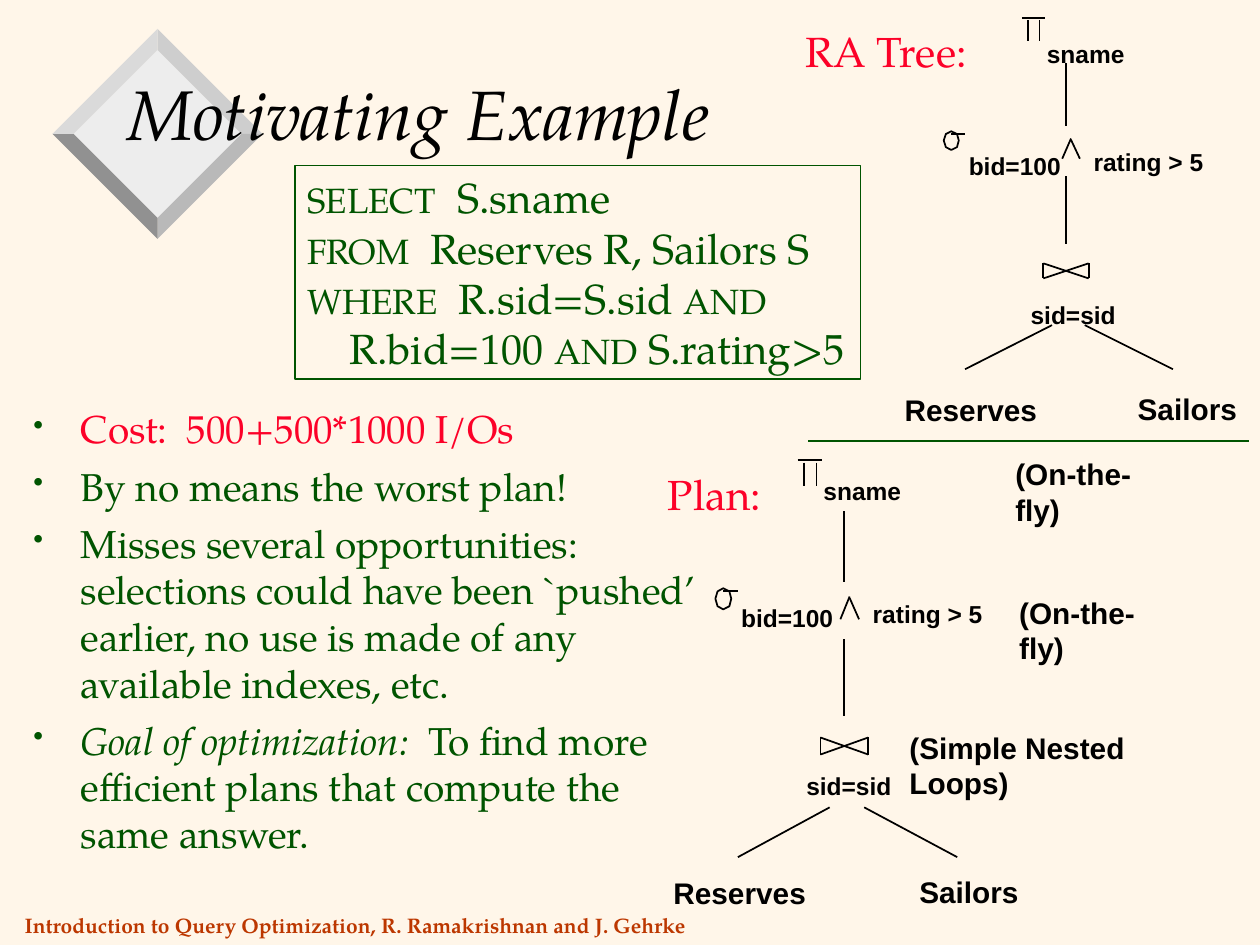
from dataclasses import dataclass

from lxml.etree import SubElement
from pptx import Presentation
from pptx.dml.color import RGBColor
from pptx.enum.shapes import MSO_CONNECTOR, MSO_SHAPE
from pptx.enum.text import MSO_ANCHOR as Anchor
from pptx.oxml.ns import qn
from pptx.util import Pt

COLORS = {
    "background": "FFF6E9", "ink": "000000", "green": "005400", "red": "FC0128",
    "footer": "BC3700", "face": "EDEDED", "upper right": "CECECE",
    "upper left": "DADADA", "lower right": "B9B9B9", "lower left": "919191",
}
SERIF, SANS = "TeX Gyre Pagella", "Arial"
FORMATS = {
    "title": dict(name=SERIF, size=Pt(40), italic=True, color="ink"),
    "footer": dict(name=SERIF, size=Pt(12), bold=True, color="footer"),
    "point": dict(name=SERIF, size=Pt(22.2), color="green"),
    "cost": dict(name=SERIF, size=Pt(22.2), color="red"),
    "goal": dict(name=SERIF, size=Pt(22.2), italic=True, color="green"),
    "keyword": dict(name=SERIF, size=Pt(20), color="green"),
    "query": dict(name=SERIF, size=Pt(24), color="green"),
    "heading": dict(name=SERIF, size=Pt(24), color="red"),
    "relation": dict(name=SANS, size=Pt(17), bold=True, color="ink"),
    "condition": dict(name=SANS, size=Pt(14), bold=True, color="ink"),
}
QUERY = [
    [("SELECT", "keyword"), ("  S.sname", "query")],
    [("FROM", "keyword"), ("  Reserves R, Sailors S", "query")],
    [("WHERE", "keyword"), ("  R.sid=S.sid ", "query"), ("AND", "keyword"), (" ", "query")],
    [("    R.bid=100 ", "query"), ("AND", "keyword"), (" S.rating>5", "query")],
]
POINTS = [
    [("Cost:  500+500*1000 I/Os", "cost")],
    [("By no means the worst plan!", "point")],
    [("Misses several opportunities: selections could have been `pushed’ earlier, "
      "no use is made of any available indexes, etc.", "point")],
    [("Goal of optimization:  ", "goal"),
     ("To find more efficient plans that compute the same answer.", "point")],
]

# Operator tree, measured from the left of sigma and the top of pi
SIGMA = [(8.6, 70.2), (7.6, 66.5), (4.3, 64.9), (1.2, 66.5),
         (0, 70.2), (1.2, 74), (4.3, 75.6), (7.6, 74)]
TREE_LINES = [
    (4.3, 66.4, 12.2, 66.4),                                    # sigma tail
    (48.2, 1.4, 48.2, 13.2), (54.7, 1.4, 54.7, 13.2), (44.6, 0, 57.6, 0),  # pi
    (56.9, 140.4, 56.9, 149), (82.8, 140.4, 82.8, 149),         # join sides
    (56.9, 140.4, 82.8, 149), (56.9, 149, 82.8, 140.4),         # join cross
    (12.2, 200.9, 61.9, 175.7), (80.6, 175.7, 131, 200.9),      # branches
    (69.8, 90.7, 69.8, 129.6), (69.8, 25.9, 69.8, 61.9),        # stems
    (67.7, 80.6, 72.7, 69.1), (72.7, 69.8, 77.8, 80.6),         # logical and
]
TREE_LABELS = [
    ("Reserves", -29.5, 210.2, 90, "relation"),
    ("Sailors", 103.7, 209.5, 71.3, "relation"),
    ("sid=sid", 42.5, 157.7, 63.4, "condition"),
    ("bid=100", 7.2, 72.7, 70.6, "condition"),
    ("rating > 5", 78.5, 70.6, 77, "condition"),
    ("sname", 51.8, 8.6, 59, "condition"),
]
PLAN_NOTES = [
    ("(Simple Nested Loops)", 512.6, 413.3, 198.7),
    ("(On-the-fly)", 575.3, 336.2, 105.8),
    ("(On-the-fly)", 573.1, 257, 105.8),
]


@dataclass
class Frame:
    """Maps tree coordinates to the slide."""
    left: float
    top: float
    stretch_x: float = 1
    stretch_y: float = 1
    label_lift: float = 0

    def place(self, x, y):
        return self.left + x * self.stretch_x, self.top + y * self.stretch_y


def rgb(color):
    return RGBColor.from_string(COLORS[color])


def write(holder, paragraphs, wrap=False, anchor=Anchor.TOP):
    """Fill a shape with paragraphs, each a list of (text, format) runs."""
    frame = holder.text_frame
    frame.word_wrap, frame.vertical_anchor = wrap, anchor
    for number, runs in enumerate(paragraphs):
        paragraph = frame.add_paragraph() if number else frame.paragraphs[0]
        for text, style in runs:
            run = paragraph.add_run()
            run.text = text
            for attribute, value in FORMATS[style].items():
                if attribute == "color":
                    run.font.color.rgb = rgb(value)
                else:
                    setattr(run.font, attribute, value)
    return frame


def add_text(shapes, box, paragraphs, **layout):
    return write(shapes.add_textbox(*map(Pt, box)), paragraphs, **layout)


def add_label(shapes, text, x, y, width, style):
    height = FORMATS[style]["size"].pt * 1.2 + 7.2
    add_text(shapes, (x, y, width, height), [[(text, style)]])


def add_line(shapes, start, end, color="ink"):
    line = shapes.add_connector(MSO_CONNECTOR.STRAIGHT, *map(Pt, (*start, *end)))
    line.line.color.rgb = rgb(color)
    line.line.width = Pt(1)
    SubElement(line._element.spPr, qn("a:effectLst"))


def add_polygon(shapes, corners, fill=None):
    """Draw a closed outline, filled without a line or stroked without a fill."""
    first, *rest = [tuple(map(Pt, corner)) for corner in corners]
    builder = shapes.build_freeform(*first)
    builder.add_line_segments(rest, close=True)
    polygon = builder.convert_to_shape()
    polygon.shadow.inherit = False
    if fill:
        polygon.fill.solid()
        polygon.fill.fore_color.rgb = rgb(fill)
        polygon.line.fill.background()
    else:
        polygon.fill.background()
        polygon.line.color.rgb = rgb("ink")
        polygon.line.width = Pt(1)


def add_diamond(shapes, x, y, inner, outer):
    """Bevelled diamond: a face and four rims."""
    def corners(radius):
        return [(x, y - radius), (x + radius, y), (x, y + radius), (x - radius, y)]

    face, edge = corners(inner), corners(outer)
    add_polygon(shapes, face, "face")
    for side, rim in enumerate(("upper right", "lower right", "lower left", "upper left")):
        after = (side + 1) % 4
        add_polygon(shapes, [face[side], edge[side], edge[after], face[after]], rim)


def add_query(shapes):
    box = shapes.add_shape(MSO_SHAPE.RECTANGLE, *map(Pt, (168.5, 94.5, 323.3, 122.2)))
    box.shadow.inherit = False
    box.fill.background()
    box.line.color.rgb = rgb("green")
    box.line.width = Pt(1)
    for paragraph in write(box, QUERY).paragraphs:
        paragraph.alignment = 1


def add_points(shapes):
    body = add_text(shapes, (12, 228, 402, 285), POINTS, wrap=True)
    for paragraph in body.paragraphs:
        paragraph.space_before = Pt(6)
        properties = paragraph._p.get_or_add_pPr()
        properties.set("marL", str(Pt(27)))
        properties.set("indent", str(Pt(-27)))
        bullet_color = SubElement(properties, qn("a:buClr"))
        SubElement(bullet_color, qn("a:srgbClr"), val=COLORS["green"])
        SubElement(properties, qn("a:buSzPct"), val="75000")
        SubElement(properties, qn("a:buChar"), char="•")


def add_tree(slide, frame, notes=()):
    shapes = slide.shapes.add_group_shape().shapes
    add_polygon(shapes, [frame.place(*corner) for corner in SIGMA])
    for x1, y1, x2, y2 in TREE_LINES:
        add_line(shapes, frame.place(x1, y1), frame.place(x2, y2))
    for text, x, y, width, style in TREE_LABELS:
        left, top = frame.place(x, y)
        add_label(shapes, text, left, top - frame.label_lift, width, style)
    for note in notes:
        add_label(shapes, *note, "relation")


def main():
    deck = Presentation()
    deck.slide_width, deck.slide_height = Pt(720), Pt(540)
    slide = deck.slides.add_slide(deck.slide_layouts[6])
    slide.background.fill.solid()
    slide.background.fill.fore_color.rgb = rgb("background")
    shapes = slide.shapes

    add_diamond(shapes, 90, 76.5, inner=48, outer=60)
    add_text(shapes, (7, 510.5, 400, 36),
             [[("Introduction to Query Optimization, R. Ramakrishnan and J. Gehrke", "footer")]],
             wrap=True, anchor=Anchor.MIDDLE)
    add_text(shapes, (66, 21, 612, 87), [[("Motivating Example", "title")]],
             wrap=True, anchor=Anchor.MIDDLE)
    add_points(shapes)
    add_query(shapes)
    add_tree(slide, Frame(539.3, 10.1))
    add_tree(slide, Frame(408.8, 262.8, 1.055, 1.13, label_lift=3.8), PLAN_NOTES)
    add_label(shapes, "RA Tree:", 453, 11, 111.6, "heading")
    add_label(shapes, "Plan:", 374.5, 264, 72, "heading")
    add_line(shapes, (462, 252), (714, 252), "green")
    deck.save("out.pptx")


if __name__ == "__main__":
    main()
